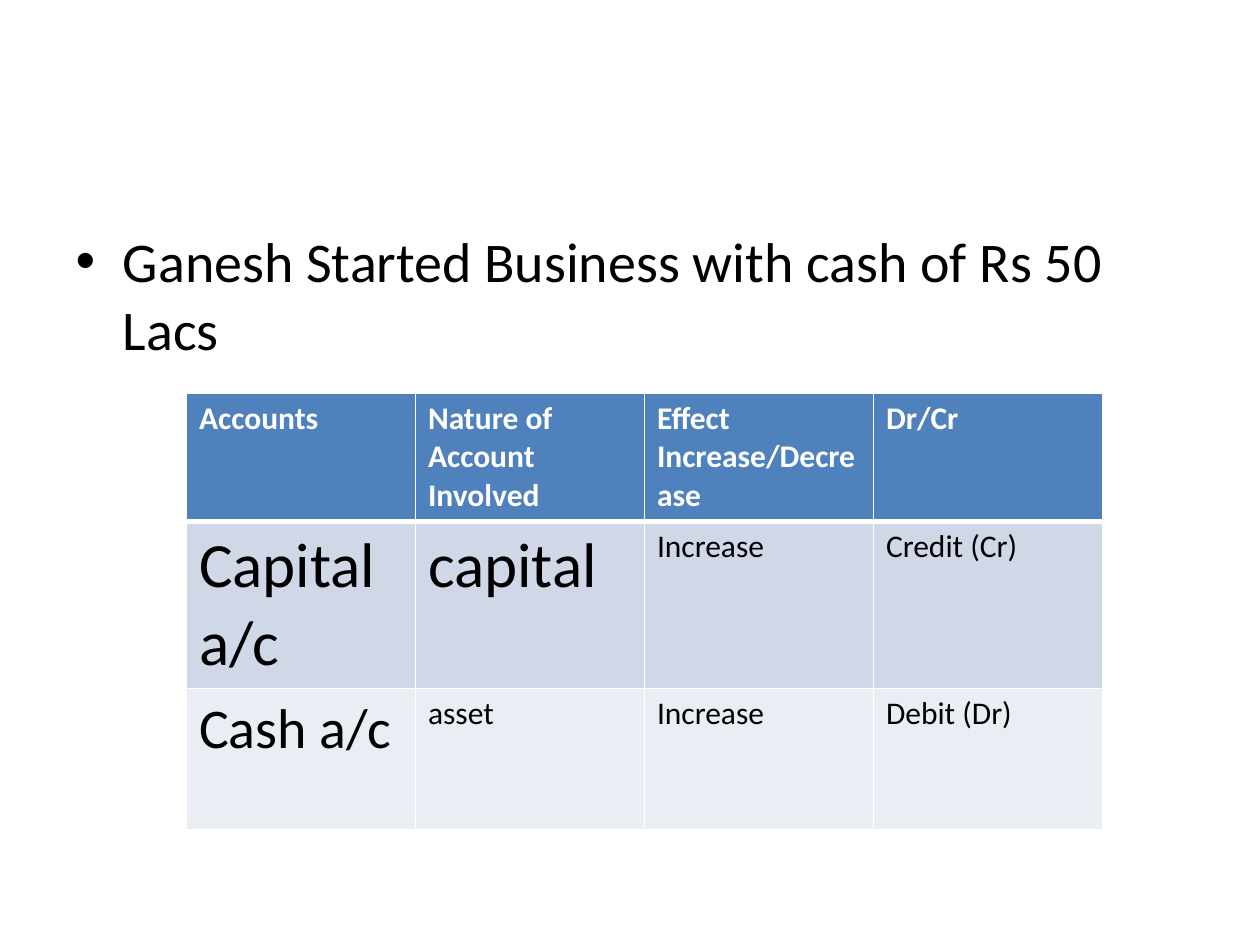
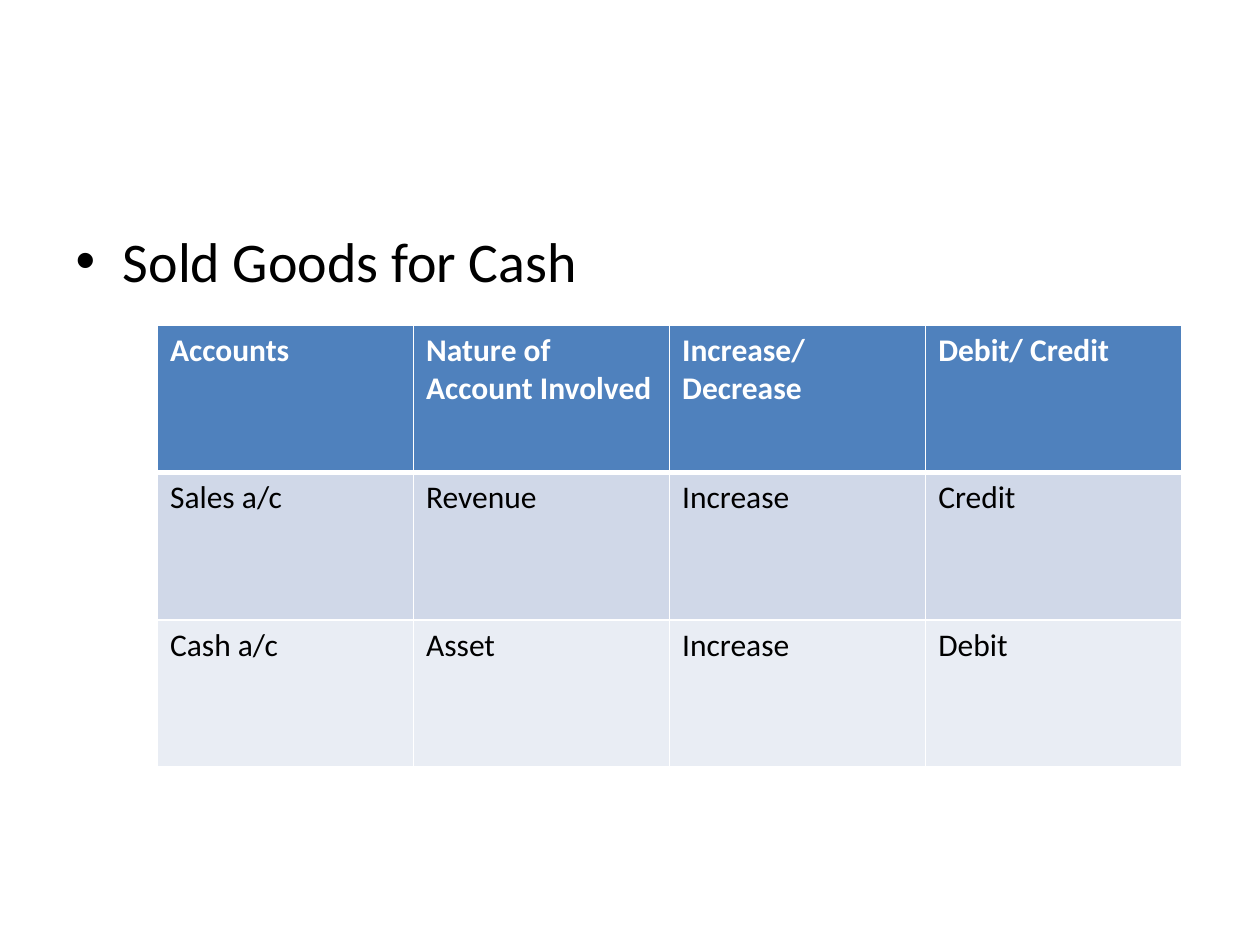
"""Build two slides of journal-entry examples, each a bullet and an accounts table."""
from lxml.etree import SubElement
from pptx import Presentation
from pptx.dml.color import RGBColor
from pptx.oxml.ns import qn
from pptx.util import Inches, Pt

FONT = "Calibri"
COLORS = {
    "header": "4F81BD",
    "band_dark": "D0D8E8",
    "band_light": "E9EDF4",
    "text": "000000",
    "white": "FFFFFF",
}
ROW_FILLS = ("header", "band_dark", "band_light")


def color(name):
    return RGBColor.from_string(COLORS[name])


def write_text(frame, text, size=18, ink="text", bold=False):
    para = frame.paragraphs[0]
    para.space_before = Pt(0)
    for index, line in enumerate(text.split("\n")):
        if index:
            para.add_line_break()
        span = para.add_run()
        span.text = line
        span.font.name = FONT
        span.font.size = Pt(size)
        span.font.bold = bold
        span.font.color.rgb = color(ink)


def set_border(cell, side, width):
    properties = cell._tc.get_or_add_tcPr()
    line = SubElement(properties, qn(f"a:ln{side}"), w=str(Pt(width)))
    fill = SubElement(line, qn("a:solidFill"))
    SubElement(fill, qn("a:srgbClr"), val=COLORS["white"])


def format_cell(cell, row):
    widths = {"L": 1, "R": 1, "T": 3 if row == 1 else 1, "B": 3 if row == 0 else 1}
    for side, width in widths.items():
        set_border(cell, side, width)
    cell.fill.solid()
    cell.fill.fore_color.rgb = color(ROW_FILLS[row])


def add_accounts_table(page, rows, left, top, width, row_heights, sizes=None):
    sizes = sizes or {}
    frame = page.shapes.add_table(
        len(rows), len(rows[0]), Inches(left), Inches(top),
        Inches(width), Inches(sum(row_heights)))
    table = frame.table
    for row, (texts, height) in enumerate(zip(rows, row_heights)):
        table.rows[row].height = Inches(height)
        header = row == 0
        for column, text in enumerate(texts):
            cell = table.cell(row, column)
            format_cell(cell, row)
            write_text(cell.text_frame, text, size=sizes.get((row, column), 18),
                       ink="white" if header else "text", bold=header)


def add_transaction_page(deck, transaction):
    page = deck.slides.add_slide(deck.slide_layouts[1])
    title, body = page.placeholders
    title.element.getparent().remove(title.element)
    body.left, body.top = Inches(0.5), Inches(1.75)
    body.width, body.height = Inches(9), Inches(4.95)
    write_text(body.text_frame, transaction, size=32)
    return page


def main():
    deck = Presentation()
    deck.slide_width, deck.slide_height = Inches(10), Inches(7.5)

    page = add_transaction_page(deck, "Ganesh Started Business with cash of Rs 50 Lacs")
    add_accounts_table(
        page,
        [
            ("Accounts", "Nature of Account Involved", "Effect Increase/Decrease", "Dr/Cr"),
            ("Capital a/c", "capital", "Increase", "Credit (Cr)"),
            ("Cash a/c", "asset", "Increase", "Debit (Dr)"),
        ],
        left=1.48, top=3.12, width=7.27, row_heights=(1.02, 1.12, 1.12),
        sizes={(1, 0): 36, (1, 1): 36, (2, 0): 32})

    page = add_transaction_page(deck, "Sold Goods for Cash")
    add_accounts_table(
        page,
        [
            ("Accounts", "Nature of Account Involved", "Increase/\nDecrease", "Debit/ Credit"),
            ("Sales a/c", "Revenue", "Increase", "Credit"),
            ("Cash a/c", "Asset", "Increase", "Debit"),
        ],
        left=1.25, top=2.58, width=8.13, row_heights=(1.17, 1.17, 1.17))

    deck.save("out.pptx")


if __name__ == "__main__":
    main()
